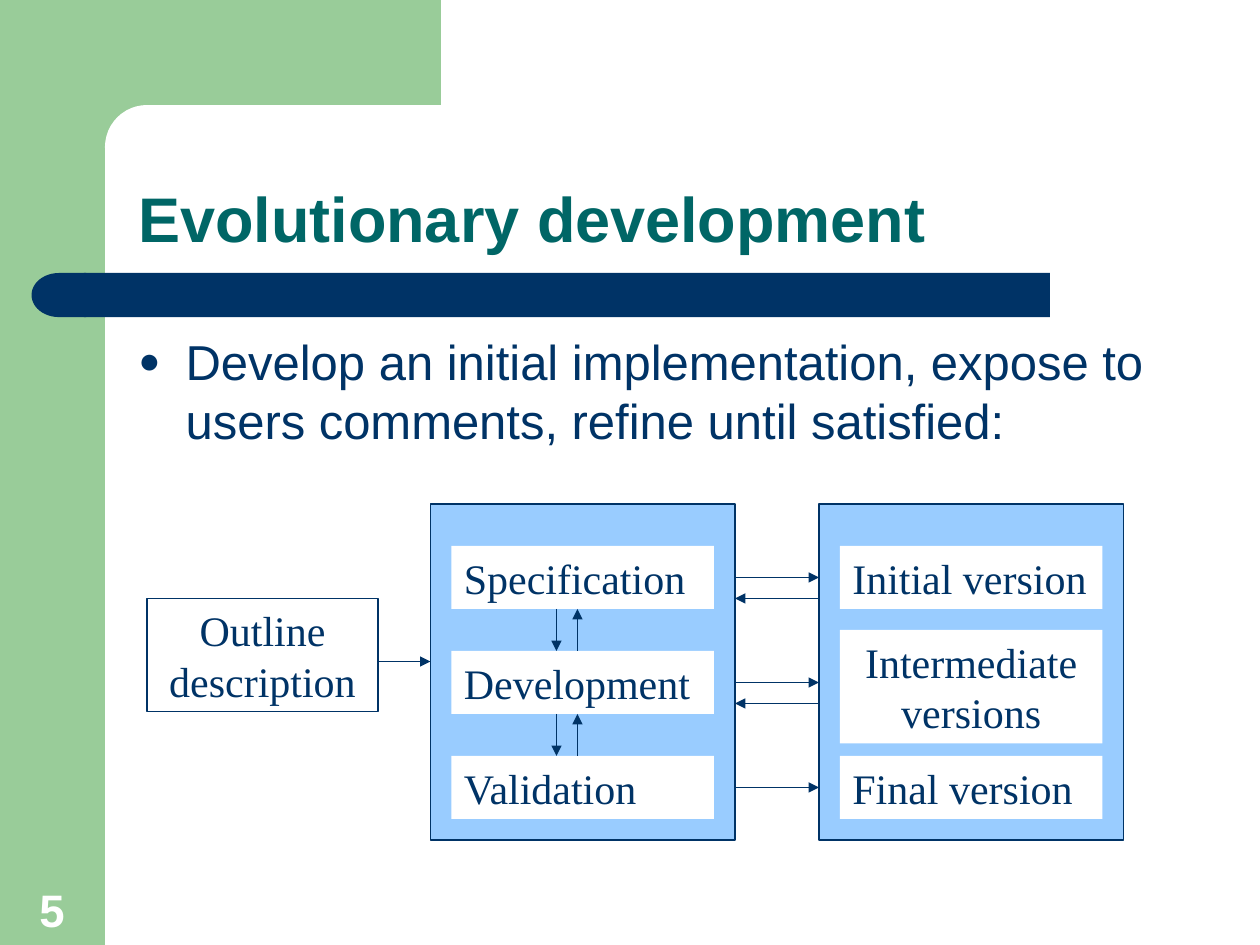
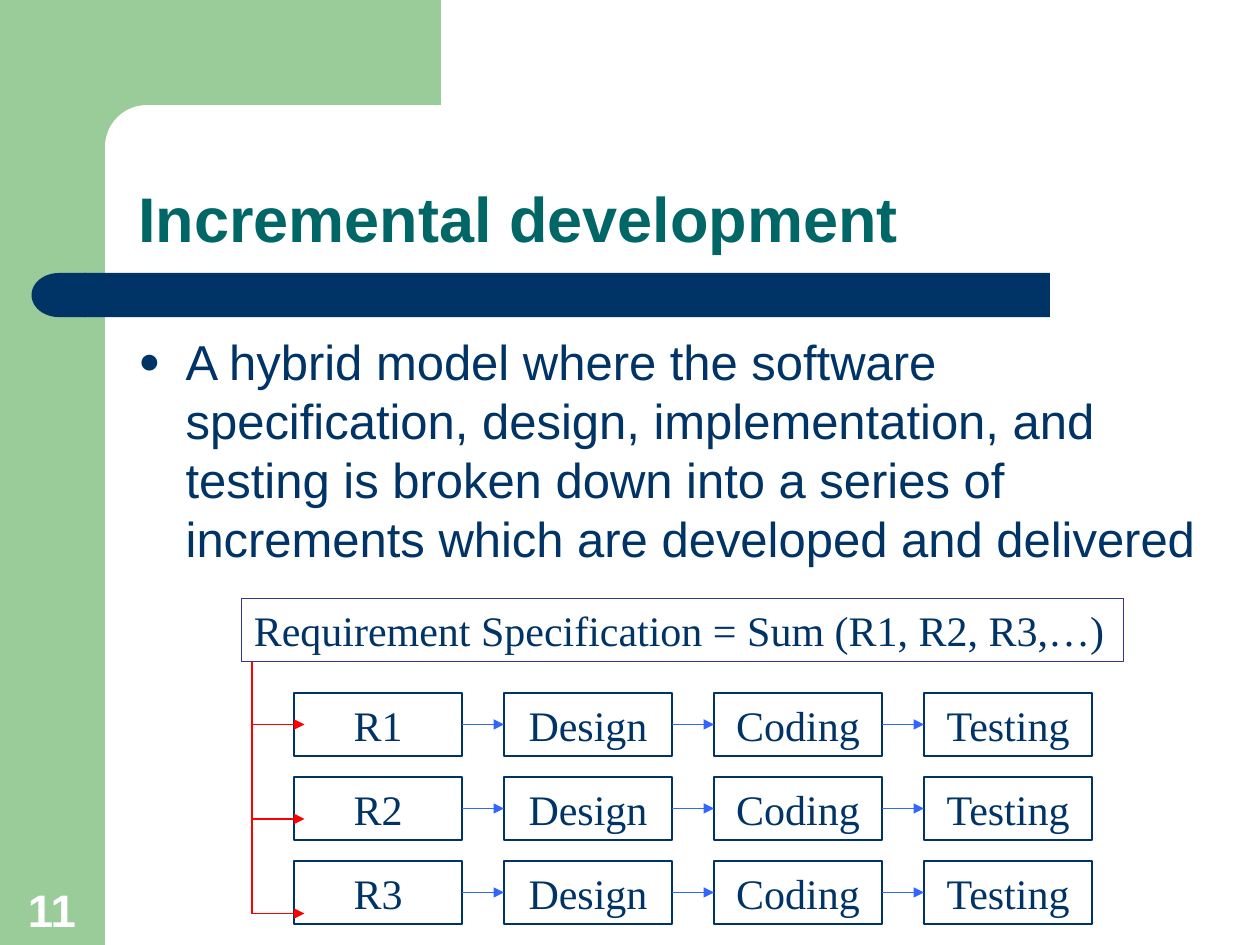
from itertools import pairwise

from lxml.etree import SubElement
from pptx import Presentation
from pptx.dml.color import RGBColor
from pptx.enum.shapes import MSO_CONNECTOR as Cxn, MSO_SHAPE as Geo
from pptx.enum.text import MSO_ANCHOR as Anchor, PP_ALIGN as Align
from pptx.oxml.ns import qn
from pptx.util import Cm, Pt

NAVY, TEAL, GREEN, SKY = "003366", "006666", "99CC99", "99CCFF"
WHITE, INDIGO, RED, BLUE = "FFFFFF", "333399", "FF0000", "3366FF"

TITLE = {"font": {"name": "Arial", "size": Pt(36), "bold": True}, "color": TEAL,
         "para": {"line_spacing": 0.9}, "frame": {"vertical_anchor": Anchor.BOTTOM}}
BODY = {"font": {"name": "Arial", "size": Pt(28)}, "color": NAVY,
        "para": {"space_before": Pt(7)}, "frame": {"vertical_anchor": Anchor.TOP}}
NUMBER = {"font": {"name": "Arial", "size": Pt(26), "bold": True}, "color": WHITE,
          "para": {"alignment": Align.CENTER}, "frame": {"vertical_anchor": Anchor.BOTTOM}}
LABEL = {"font": {"name": "Times New Roman", "size": Pt(24)}, "color": NAVY,
         "para": {"alignment": Align.LEFT, "space_before": Pt(15)},
         "frame": {"vertical_anchor": Anchor.TOP}}
CENTERED = {**LABEL, "para": {**LABEL["para"], "alignment": Align.CENTER}}


def rgb(color):
    return RGBColor.from_string(color)


def grid(*units):
    """Turn grid units (the slide is 120 by 90) into lengths."""
    return [Cm(25.4 / 120 * n) for n in units]


def set_all(obj, values):
    for name, value in values.items():
        setattr(obj, name, value)


class Deck:
    """Holds the presentation, its shared style and the current slide."""

    def __init__(self):
        self.prs = Presentation()
        self.prs.slide_width, self.prs.slide_height = grid(120, 90)

    def new_slide(self, title, body, number):
        self.s = self.prs.slides.add_slide(self.prs.slide_layouts[6])
        self.box((0, 0, 10, 90), fill=GREEN)
        self.box((9, 0, 33, 14), fill=GREEN)
        corner = self.box((10, 10, 67, 8), fill=WHITE, geo=Geo.ROUNDED_RECTANGLE)
        corner.adjustments[0] = 0.5
        self.box((8, 26, 92, 4.2), fill=NAVY)
        cap = self.box((3, 26, 5.2, 4.2), fill=NAVY, geo=Geo.FLOWCHART_DELAY)
        cap.rotation = 180
        self.text_box((1.1, 83.3, 7.7, 6.5), str(number), NUMBER)
        self.text_box((12, 10, 105, 15), title, TITLE)
        self.bullet(self.text_box((12, 31, 105, 49), body, BODY))

    def add_text(self, sp, text, style):
        tf = sp.text_frame
        tf.word_wrap = True
        set_all(tf, style["frame"])
        p = tf.paragraphs[0]
        set_all(p, style["para"])
        r = p.add_run()
        r.text = text
        set_all(r.font, style["font"])
        r.font.color.rgb = rgb(style["color"])
        return p

    def text_box(self, at, text, style):
        return self.add_text(self.s.shapes.add_textbox(*grid(*at)), text, style)

    def bullet(self, p):
        pPr = p._p.get_or_add_pPr()
        indent, = grid(4.5)
        pPr.set("marL", str(indent))
        pPr.set("indent", str(-indent))
        SubElement(SubElement(pPr, qn("a:buClr")), qn("a:srgbClr"), val=NAVY)
        SubElement(pPr, qn("a:buSzPct"), val="75000")
        SubElement(pPr, qn("a:buFont"), typeface="Arial")
        SubElement(pPr, qn("a:buChar"), char="●")

    def box(self, at, text=None, style=LABEL, fill=None, line=None, geo=Geo.RECTANGLE):
        sp = self.s.shapes.add_shape(geo, *grid(*at))
        sp.shadow.inherit = False
        if fill:
            sp.fill.solid()
            sp.fill.fore_color.rgb = rgb(fill)
        else:
            sp.fill.background()
        if line:
            sp.line.color.rgb = rgb(line)
            sp.line.width = Pt(0.75)
        else:
            sp.line.fill.background()
        if text:
            self.add_text(sp, text, style)
        return sp

    def line(self, x1, y1, x2, y2, color=NAVY, arrow=True):
        cxn = self.s.shapes.add_connector(Cxn.STRAIGHT, *grid(x1, y1, x2, y2))
        cxn.line.color.rgb = rgb(color)
        cxn.line.width = Pt(0.75)
        spPr = cxn._element.spPr
        if arrow:
            SubElement(spPr.find(qn("a:ln")), qn("a:tailEnd"), type="triangle")
        SubElement(spPr, qn("a:effectLst"))


def evolutionary(deck):
    deck.new_slide("Evolutionary development",
                   "Develop an initial implementation, expose to users comments, "
                   "refine until satisfied:", 5)
    rows, height = (52, 62, 72), 6
    for x in (41, 78):
        deck.box((x, 48, 29, 32), fill=SKY, line=NAVY)
    for y, activity in zip(rows, ("Specification", "Development", "Validation")):
        deck.box((43, y, 25, height), activity, fill=WHITE)
    deck.box((80, rows[0], 25, height), "Initial version", fill=WHITE)
    deck.box((80, 60, 25, 10.8), "Intermediate versions", CENTERED, fill=WHITE)
    deck.box((80, rows[2], 25, height), "Final version", fill=WHITE)
    deck.box((14, 57, 22, 10.8), "Outline description", CENTERED, line=NAVY)

    deck.line(36, 63, 41, 63)
    for y in rows:
        deck.line(70, y + 3, 78, y + 3)
    for y, below in pairwise(rows):
        deck.line(78, y + 5, 70, y + 5)
        deck.line(53, y + height, 53, below)
        deck.line(55, below, 55, y + height)


def incremental(deck):
    deck.new_slide("Incremental development",
                   "A hybrid model where the software specification, design, "
                   "implementation, and testing is broken down into a series of "
                   "increments which are developed and delivered", 11)
    deck.box((23, 57, 84, 6), "Requirement Specification = Sum (R1, R2, R3,…)", line=INDIGO)
    columns, width = (28, 48, 68, 88), 16
    for i, requirement in enumerate(("R1", "R2", "R3")):
        y = 66 + 8 * i
        for x, stage in zip(columns, (requirement, "Design", "Coding", "Testing")):
            deck.box((x, y, width, 6), stage, CENTERED, line=NAVY)
        for x, following in pairwise(columns):
            deck.line(x + width, y + 3, following, y + 3, BLUE)

    deck.line(24, 63, 24, 87, RED, arrow=False)
    for y in (69, 78, 87):
        deck.line(24, y, 29, y, RED)


def main():
    deck = Deck()
    evolutionary(deck)
    incremental(deck)
    deck.prs.save("out.pptx")


if __name__ == "__main__":
    main()
